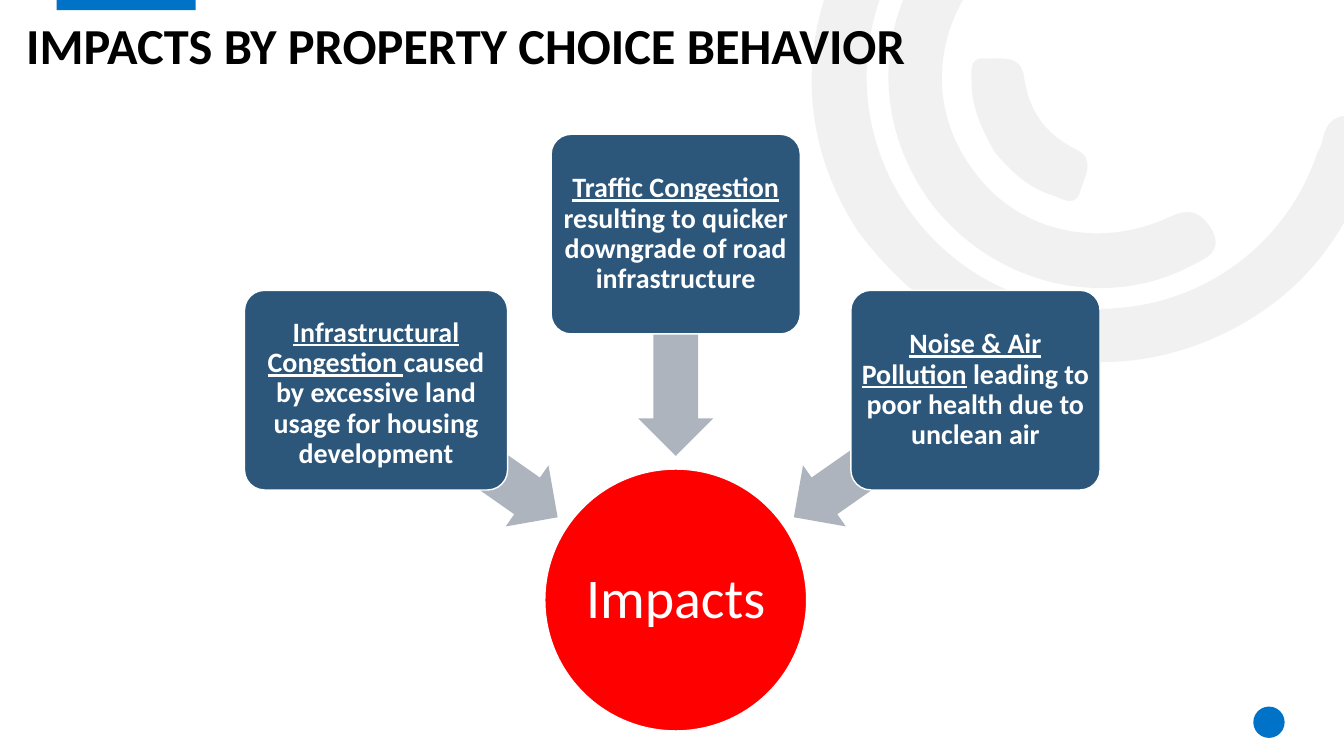
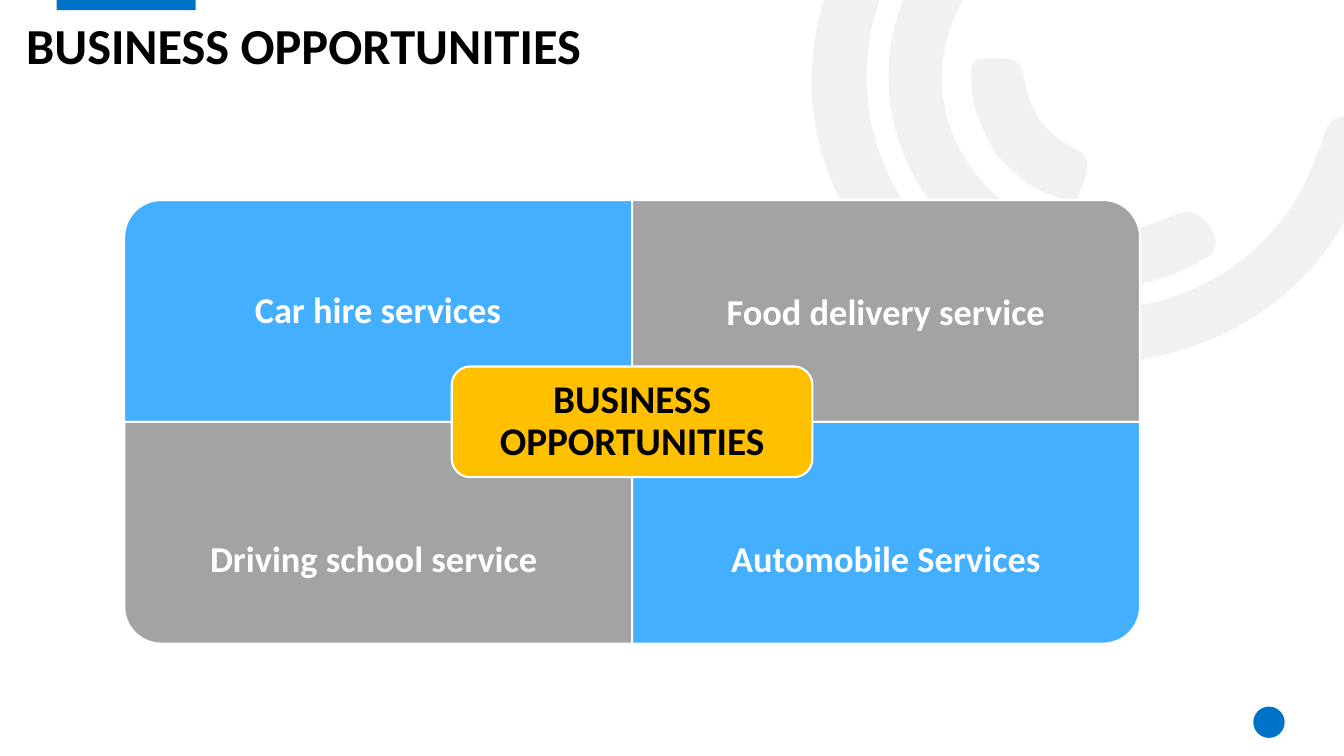
"""Builds two slides on property impacts and business opportunities."""
from dataclasses import dataclass
from math import cos, radians, sin

from lxml import etree
from pptx import Presentation
from pptx import util as u
from pptx.dml.color import RGBColor
from pptx.enum import shapes, text
from pptx.oxml.ns import qn

KIND = shapes.MSO_SHAPE
FONT = "Calibri"
WHITE, BLACK, BLUE, RING = "FFFFFF", "000000", "0072C7", "E7E6E6"
NAVY, GREY, RED, SKY, STONE, GOLD = "2C567A", "ADB4BE", "FF0000", "44AFFF", "A3A3A3", "FFC000"

ARCS = [
    [(8.51, 2.29), (7.99, 1.49), (7.87, 0.5), (8.38, -0.5), (8.9, -1.52), (9.76, -2.03),
     (10.9, -2.07), (11.05, -2.07), (11.21, -2.1), (11.31, -1.95), (11.44, -1.75),
     (11.27, -1.54), (10.98, -1.54), (9.67, -1.54), (8.65, -0.59), (8.6, 0.68),
     (8.56, 1.81), (9.36, 2.81), (10.46, 3.02), (11.6, 3.24), (12.7, 2.61), (13.07, 1.52),
     (13.09, 1.48), (13.11, 1.44), (13.12, 1.4), (13.16, 1.19), (13.27, 1.11), (13.49, 1.17),
     (13.73, 1.24), (13.67, 1.41), (13.61, 1.56), (13.34, 2.45), (12.78, 3.07), (11.91, 3.41),
     (10.7, 3.87), (9.36, 3.45), (8.51, 2.29)],
    [(9.22, 1.99), (8.62, 1.15), (8.69, 0.07), (9.4, -0.68), (9.51, -0.79), (9.62, -0.95),
     (9.8, -0.78), (9.95, -0.64), (9.97, -0.5), (9.79, -0.32), (9.25, 0.26), (9.2, 1.08),
     (9.65, 1.68), (10.08, 2.29), (10.88, 2.49), (11.61, 2.15), (11.82, 2.05), (11.93, 2.12),
     (12.03, 2.29), (12.13, 2.5), (11.97, 2.56), (11.83, 2.63), (10.96, 3.1), (9.83, 2.82),
     (9.22, 1.99)],
    [(9.87, 1.51), (9.75, 1.3), (9.64, 1.07), (9.64, 0.82), (9.64, 0.73), (9.61, 0.57),
     (9.76, 0.58), (9.92, 0.59), (10.13, 0.53), (10.16, 0.76), (10.21, 1.1), (10.36, 1.32),
     (10.67, 1.48), (10.88, 1.57), (10.76, 1.76), (10.72, 1.89), (10.68, 2.06), (10.55, 1.98),
     (10.45, 1.94), (10.21, 1.87), (10.03, 1.7), (9.87, 1.51)],
]


@dataclass
class Cause:
    """A cause box set at an angle around the hub."""
    lead: str
    rest: str
    turn: int
    wide: float = 6.28
    top: float = 0.1


@dataclass
class Cell:
    """A quarter of the opportunity grid."""
    label: str
    col: int
    row: int
    turn: int
    fill: str
    drop: float


CAUSES = [
    Cause("Infrastructural Congestion ", "caused by excessive land usage for housing development",
          215, 6.63, 0.28),
    Cause("Traffic Congestion ", "resulting to quicker downgrade of road infrastructure", 270),
    Cause("Noise & Air Pollution", " leading to poor health due to unclean air", 325),
]
CELLS = [
    Cell("Car hire services", 0, 0, 270, SKY, 0.72),
    Cell("Food delivery service", 1, 0, 0, STONE, 0.77),
    Cell("Driving school service ", 0, 1, 180, STONE, 1.41),
    Cell("Automobile Services", 1, 1, 90, SKY, 1.41),
]


def tint(form, hue: str) -> None:
    """Set a solid colour on a fill."""
    form.solid()
    form.fore_color.rgb = RGBColor.from_string(hue)


def paint(shape, fill: str, edge: float = 0):
    """Fill a shape and give it a white edge or none."""
    shape.shadow.inherit = False
    tint(shape.fill, fill)
    if edge:
        tint(shape.line.fill, WHITE)
        shape.line.width = u.Pt(edge)
    else:
        shape.line.fill.background()
    return shape


def draw(slide, kind, mid: tuple[float, float], size: tuple[float, float], fill: str,
         edge: float = 0, turn: int = 0, adj: tuple = ()):
    """Draw a preset shape around its centre, in centimetres."""
    (x, y), (w, h) = mid, size
    shape = slide.shapes.add_shape(kind, u.Cm(x - w / 2), u.Cm(y - h / 2), u.Cm(w), u.Cm(h))
    shape.rotation = turn
    for i, val in enumerate(adj):
        shape.adjustments[i] = val
    return paint(shape, fill, edge)


def write(shape, lines: list, size: int, hue: str = WHITE, bold: bool = True, pad: float = 0.1,
          top: float | None = None, align=text.PP_ALIGN.CENTER,
          anchor=text.MSO_ANCHOR.MIDDLE) -> None:
    """Write paragraphs, each a list of (text, underline) runs."""
    frame = shape.text_frame
    side = u.Cm(pad)
    form = {"word_wrap": True, "auto_size": text.MSO_AUTO_SIZE.NONE, "vertical_anchor": anchor,
            "margin_left": side, "margin_right": side, "margin_bottom": side,
            "margin_top": side if top is None else u.Cm(top)}
    for key, val in form.items():
        setattr(frame, key, val)
    for i, runs in enumerate(lines):
        para = frame.paragraphs[0] if i == 0 else frame.add_paragraph()
        para.alignment, para.line_spacing = align, 0.9
        for words, under in runs:
            run = para.add_run()
            run.text = words
            for key, val in {"name": FONT, "size": u.Pt(size), "bold": bold,
                             "underline": under}.items():
                setattr(run.font, key, val)
            tint(run.font.fill, hue)


def bend(shape) -> None:
    """Turn each three line steps of an outline into one cubic curve."""
    steps = list(shape.element.iter(qn("a:lnTo")))
    for i in range(0, len(steps), 3):
        cubic = etree.Element(qn("a:cubicBezTo"))
        steps[i].addprevious(cubic)
        for step in steps[i:i + 3]:
            cubic.append(step[0])
            step.getparent().remove(step)


def decor(slide, layout) -> None:
    """Draw the shared decoration and place it on the layout."""
    parts = []
    for pts in ARCS:
        nodes = [(x * 1000, y * 1000) for x, y in pts]
        pen = slide.shapes.build_freeform(*nodes[0], scale=u.Cm(2.54) / 1000)
        pen.add_line_segments(nodes[1:], close=True)
        arc = paint(pen.convert_to_shape(), RING)
        bend(arc)
        tone = arc.element.spPr.find(qn("a:solidFill"))[0]
        etree.SubElement(tone, qn("a:alpha")).set("val", "53000")
        parts.append(arc)
    parts.append(draw(slide, KIND.RECTANGLE, (3.18, 0.1), (3.5, 0.32), BLUE))
    parts.append(draw(slide, KIND.OVAL, (31.98, 18.2), (0.79, 0.79), BLUE))
    for i, part in enumerate(parts, 101):
        part.element.nvSpPr.cNvPr.set("id", str(i))
        layout.shapes.element.append(part.element)


def start(deck, title: str):
    """Add a slide with the shared title style and footer band."""
    slide = deck.slides.add_slide(deck.slide_layouts[5])
    head = slide.shapes.title
    for key, val in {"left": 0.66, "top": 0.62, "width": 30.8, "height": 1.27}.items():
        setattr(head, key, u.Cm(val))
    write(head, [[(title, False)]], 36, BLACK, pad=0, align=text.PP_ALIGN.LEFT,
          anchor=text.MSO_ANCHOR.BOTTOM)
    draw(slide, KIND.RECTANGLE, (6.62, 18.26), (11.91, 1.57), WHITE)
    return slide


def impacts(slide) -> None:
    """Draw the hub with its causes around it."""
    hub = (17.03, 15.12)
    disc = draw(slide, KIND.OVAL, hub, (6.6, 6.6), RED, 1)
    write(disc, [[("Impacts", False)]], 40, bold=False, pad=0)
    for item in CAUSES:
        ang = radians(item.turn)
        near, far = [(hub[0] + r * cos(ang), hub[1] + r * sin(ang)) for r in (6.43, 9.22)]
        draw(slide, KIND.LEFT_ARROW, near, (5.59, 1.88), GREY, turn=item.turn, adj=(0.6, 0.5))
        box = draw(slide, KIND.ROUNDED_RECTANGLE, far, (item.wide, 5.03), NAVY, 1, adj=(0.1,))
        write(box, [[(item.lead, True), (item.rest, False)]], 20, top=item.top)


def grid(slide) -> None:
    """Draw the four opportunities and their centre label."""
    left, top, wide, high = 3.13, 5.04, 12.8, 5.59
    for cell in CELLS:
        x, y = left + cell.col * wide, top + cell.row * high
        size = (high, wide) if cell.turn % 180 else (wide, high)
        draw(slide, KIND.ROUND_1_RECTANGLE, (x + wide / 2, y + high / 2), size, cell.fill, 1.5,
             cell.turn)
        box = slide.shapes.add_textbox(u.Cm(x), u.Cm(y + cell.drop), u.Cm(wide), u.Cm(4.19))
        write(box, [[(cell.label, False)]], 26, pad=0.5)
    hub = draw(slide, KIND.ROUNDED_RECTANGLE, (left + wide, top + high), (9.09, 2.79), GOLD, 1.5)
    write(hub, [[("BUSINESS", False)], [("OPPORTUNITIES", False)]], 28, BLACK, pad=0.3)


def main() -> None:
    """Build and save the deck."""
    deck = Presentation()
    deck.slide_width, deck.slide_height = u.Cm(33.87), u.Cm(19.05)
    first = start(deck, "IMPACTS BY PROPERTY CHOICE BEHAVIOR")
    decor(first, deck.slide_layouts[5])
    impacts(first)
    grid(start(deck, "BUSINESS OPPORTUNITIES"))
    deck.save("out.pptx")


if __name__ == "__main__":
    main()
